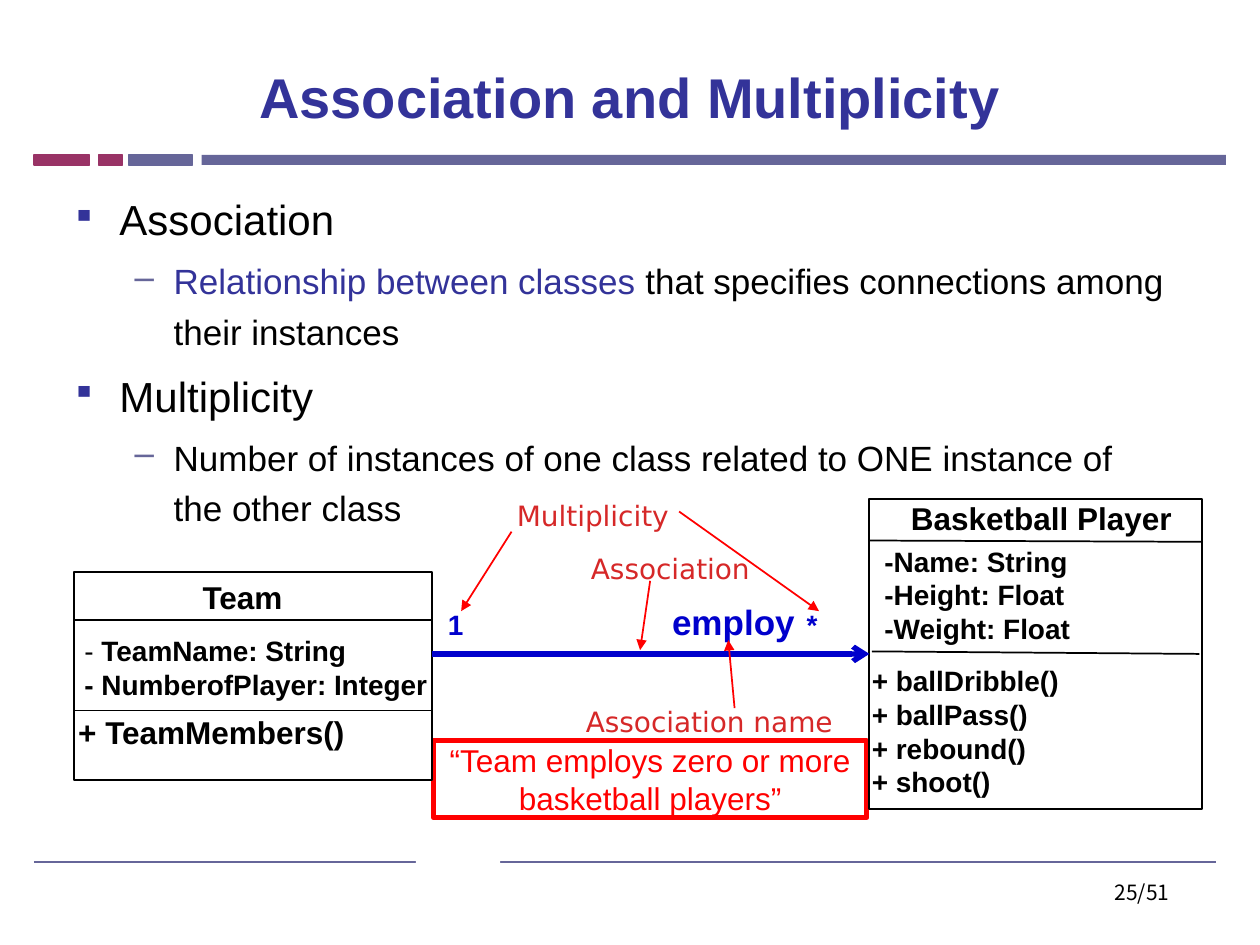
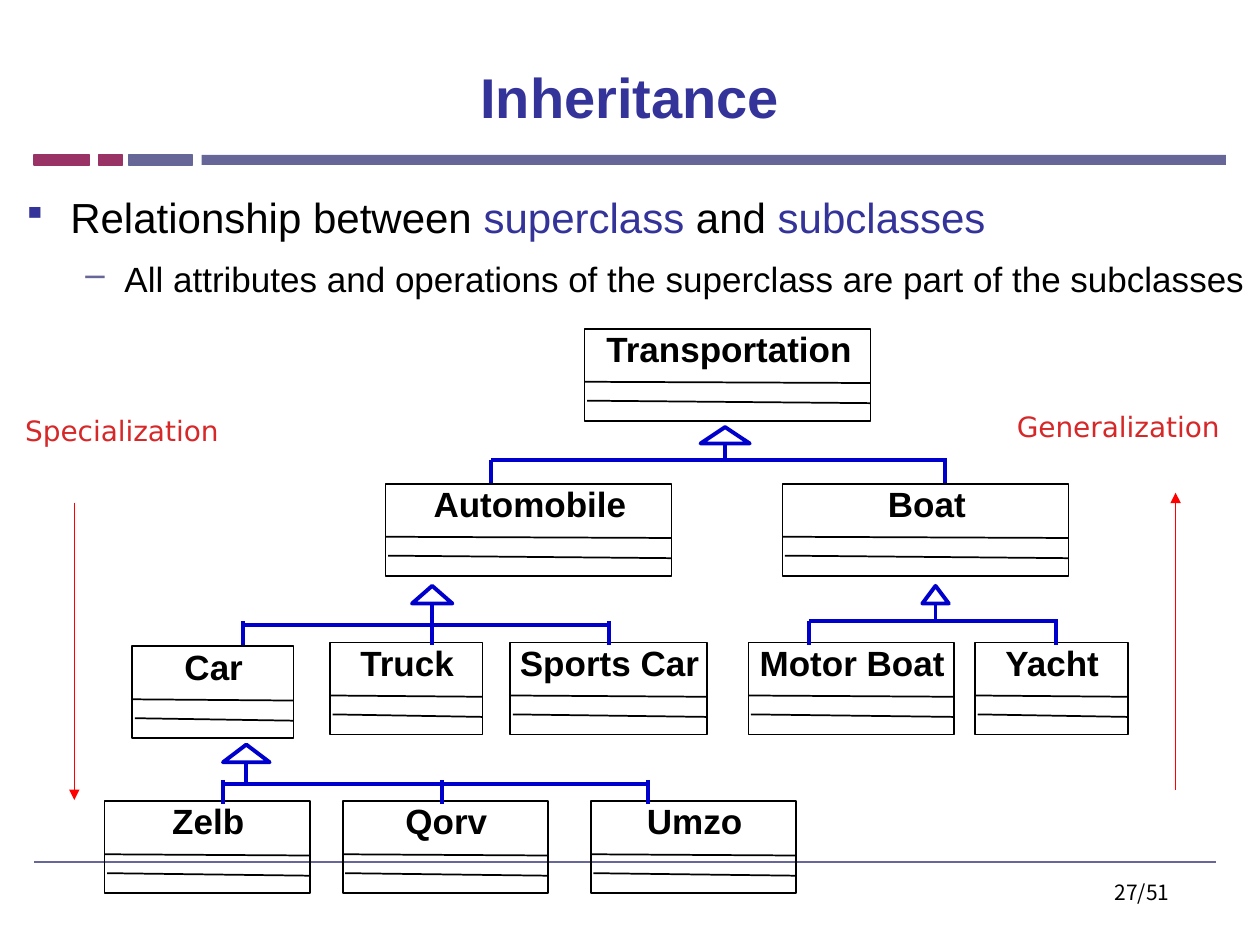
from lxml import etree
from pptx import Presentation
from pptx.dml.color import RGBColor
from pptx.enum import shapes, text
from pptx.oxml import ns
from pptx.util import Inches, Pt

COLORS = {
    "black": "000000",
    "white": "FFFFFF",
    "indigo": "333399",
    "slate": "666699",
    "plum": "993366",
    "blue": "0000CC",
    "red": "FF0000",
    "label": "D62828",
}
BODY_FONT = "Arial"
LABEL_FONT = "DejaVu Sans"
PAGE_FONT = "Noto Sans CJK KR"
NO_INSETS = (0, 0, 0, 0)
FLUSH_INSETS = (0, 0.05, 0.1, 0.05)
BOX_INSETS = (0.1, 0.05, 0.1, 0.05)
LEFT, CENTER, RIGHT = text.PP_ALIGN.LEFT, text.PP_ALIGN.CENTER, text.PP_ALIGN.RIGHT
BULLETS = [("▪", "indigo", 80, 24, 0.38, 0.38), ("–", "slate", 100, 20, 0.81, 0.31)]


def rgb(color):
    return RGBColor.from_string(COLORS[color])


def inches(*lengths):
    return [Inches(length) for length in lengths]


def add_run(paragraph, content, size, color="black", bold=False, font=BODY_FONT):
    for number, line in enumerate(content.split("\n")):
        if number:
            paragraph.add_line_break()
        run = paragraph.add_run()
        run.text = line
        run.font.size = Pt(size)
        run.font.name = font
        run.font.bold = bold
        run.font.color.rgb = rgb(color)


def set_frame(frame, insets):
    frame.word_wrap = True
    frame.margin_left, frame.margin_top, frame.margin_right, frame.margin_bottom = inches(*insets)
    frame.vertical_anchor = text.MSO_ANCHOR.TOP


def add_text(slide, content, box, size, color="black", bold=False, font=BODY_FONT,
             align=LEFT, insets=FLUSH_INSETS):
    frame = slide.shapes.add_textbox(*inches(*box)).text_frame
    set_frame(frame, insets)
    paragraph = frame.paragraphs[0]
    paragraph.alignment = align
    add_run(paragraph, content, size, color, bold, font)
    return paragraph


def add_label(slide, content, box, align=LEFT, insets=NO_INSETS):
    add_text(slide, content, box, 16, "label", font=LABEL_FONT, align=align, insets=insets)


def add_box(slide, box, fill=None, line="black", width=1, kind=shapes.MSO_SHAPE.RECTANGLE):
    shape = slide.shapes.add_shape(kind, *inches(*box))
    shape.shadow.inherit = False
    if fill:
        shape.fill.solid()
        shape.fill.fore_color.rgb = rgb(fill)
    else:
        shape.fill.background()
    if line:
        shape.line.color.rgb = rgb(line)
        shape.line.width = Pt(width)
    else:
        shape.line.fill.background()
    return shape


def add_line(slide, start, end, color="black", width=1, arrow=None):
    connector = slide.shapes.add_connector(
        shapes.MSO_CONNECTOR.STRAIGHT, *inches(*start, *end))
    connector.line.color.rgb = rgb(color)
    connector.line.width = Pt(width)
    if arrow:
        outline = connector._element.spPr.find(ns.qn("a:ln"))
        etree.SubElement(outline, ns.qn("a:tailEnd")).set("type", arrow)
    etree.SubElement(connector._element.spPr, ns.qn("a:effectLst"))
    return connector


def add_bullets(slide, box, items):
    frame = slide.shapes.add_textbox(*inches(*box)).text_frame
    set_frame(frame, BOX_INSETS)
    for number, (level, runs) in enumerate(items):
        symbol, bullet_color, percent, size, margin, hanging = BULLETS[level]
        paragraph = frame.add_paragraph() if number else frame.paragraphs[0]
        paragraph.level = level
        paragraph.line_spacing = 1.2
        if number:
            paragraph.space_before = Pt(size / 5)
        properties = paragraph._p.get_or_add_pPr()
        properties.set("marL", str(Inches(margin)))
        properties.set("indent", str(-Inches(hanging)))
        color_element = etree.SubElement(properties, ns.qn("a:buClr"))
        etree.SubElement(color_element, ns.qn("a:srgbClr")).set("val", COLORS[bullet_color])
        etree.SubElement(properties, ns.qn("a:buSzPct")).set("val", str(percent * 1000))
        etree.SubElement(properties, ns.qn("a:buChar")).set("char", symbol)
        for content, color in runs:
            add_run(paragraph, content, size, color)


def add_slide(presentation, title, page):
    slide = presentation.slides.add_slide(presentation.slide_layouts[5])
    placeholder = slide.shapes.title
    placeholder.left, placeholder.top, placeholder.width, placeholder.height = inches(
        0.5, 0.3, 9, 0.93)
    frame = placeholder.text_frame
    set_frame(frame, BOX_INSETS)
    frame.vertical_anchor = text.MSO_ANCHOR.MIDDLE
    frame.paragraphs[0].alignment = CENTER
    add_run(frame.paragraphs[0], title, 32, "indigo", True)
    for left, width, color, outline in [
        (1.6, 8.13, "slate", None),
        (0.27, 0.44, "plum", "plum"),
        (1.02, 0.51, "slate", "slate"),
        (0.78, 0.19, "plum", "plum"),
    ]:
        add_box(slide, (left, 1.23, width, 0.08), color, outline, 0.75)
    add_line(slide, (0.27, 6.84), (9.65, 6.84), "slate")
    add_text(slide, page, (7.05, 6.93, 2.33, 0.52), 12, font=PAGE_FONT,
             align=RIGHT, insets=BOX_INSETS)
    return slide


def add_empty_class(slide, name, left, top, width):
    right = left + width
    add_box(slide, (left, top, width, 0.73))
    add_line(slide, (left, top + 0.42), (right, top + 0.43))
    add_line(slide, (left + 0.02, top + 0.57), (right, top + 0.59))
    add_text(slide, name, (left - 0.05 * width, top - 0.06, 1.11 * width, 0.43), 20,
             bold=True, align=CENTER, insets=BOX_INSETS)


def add_inheritance(slide, triangle, bus, drops, bottom, overshoot=0):
    left, top, width, height = triangle
    center = left + width / 2
    add_box(slide, triangle, line="blue", width=2.25,
            kind=shapes.MSO_SHAPE.ISOSCELES_TRIANGLE)
    segments = [((center, top + height), (center, bus)), ((drops[0], bus), (drops[-1] + 0.02, bus))]
    segments += [((drop, bus - overshoot), (drop, bottom)) for drop in drops]
    for start, end in segments:
        add_line(slide, start, end, "blue", 2.25)


def add_team_class(slide):
    add_box(slide, (0.59, 4.54, 2.84, 1.65))
    for y in (4.92, 5.64):
        add_line(slide, (0.59, y), (3.43, y))
    add_text(slide, "Team", (0.43, 4.54, 2.99, 0.4), 18, bold=True,
             align=CENTER, insets=BOX_INSETS)
    attributes = add_text(slide, "- ", (0.67, 4.98, 2.99, 0.5), 16)
    add_run(attributes, "TeamName: String\n- NumberofPlayer: Integer", 16, bold=True)
    add_text(slide, "+ TeamMembers()", (0.62, 5.61, 2.58, 0.57), 18, bold=True)


def add_player_class(slide):
    outline = add_box(slide, (6.9, 3.96, 2.64, 2.46))
    add_line(slide, (6.9, 4.29), (9.53, 4.3))
    add_line(slide, (6.92, 5.17), (9.52, 5.19))
    add_text(slide, "Basketball Player", (6.81, 3.91, 2.91, 0.4), 18, bold=True,
             align=CENTER, insets=BOX_INSETS)
    add_text(slide, "-Name: String\n-Height: Float\n-Weight: Float",
             (7.02, 4.27, 2.4, 0.34), 16, bold=True)
    add_text(slide, "+ ballDribble()\n+ ballPass()\n+ rebound()\n+ shoot()",
             (6.92, 5.22, 2.4, 0.34), 16, bold=True)
    return outline


def build_association(presentation):
    slide = add_slide(presentation, "Association and Multiplicity", "25/51")
    add_bullets(slide, (0.47, 1.41, 8.9, 5.31), [
        (0, [("Association", "black")]),
        (1, [("Relationship between classes", "indigo"),
             (" that specifies connections among their instances", "black")]),
        (0, [("Multiplicity", "black")]),
        (1, [("Number of instances of one class related to ONE instance of the other class",
              "black")]),
    ])
    add_box(slide, (3.3, 6.64, 0.67, 0.25), "white", None)
    summary = add_box(slide, (3.44, 5.88, 3.44, 0.61), "white", "red", 3)
    set_frame(summary.text_frame, NO_INSETS)
    summary.text_frame.paragraphs[0].alignment = CENTER
    add_run(summary.text_frame.paragraphs[0],
            "“Team employs zero or more basketball players”", 18, "red")

    player = add_player_class(slide)
    add_team_class(slide)
    for content, left, top, width, size in [
        ("1", 3.43, 4.77, 0.47, 16),
        ("*", 6.26, 4.77, 0.47, 16),
        ("employ", 5.16, 4.72, 1.42, 20),
    ]:
        add_text(slide, content, (left, top, width, 0.4), size, "blue", True, align=CENTER)
    association = add_line(slide, (3.43, 5.19), (6.9, 5.19), "blue", 3, "arrow")
    association.end_connect(player, 1)

    add_label(slide, "Multiplicity", (3.65, 3.91, 2.21, 0.37), CENTER, FLUSH_INSETS)
    add_label(slide, "Association", (4.69, 4.38, 2.7, 0.27))
    add_label(slide, "Association name", (4.65, 5.59, 2.7, 0.27))
    for start, end in [
        ((4.06, 4.22), (3.66, 4.85)),
        ((5.39, 4.06), (6.5, 4.85)),
        ((5.16, 4.61), (5.08, 5.16)),
        ((5.83, 5.62), (5.78, 5.08)),
    ]:
        add_line(slide, start, end, "red", 1, "triangle")


def build_inheritance(presentation):
    slide = add_slide(presentation, "Inheritance", "27/51")
    add_bullets(slide, (0.08, 1.39, 10.43, 2.05), [
        (0, [("Relationship between ", "black"), ("superclass ", "indigo"),
             ("and ", "black"), ("subclasses", "indigo")]),
        (1, [("All attributes and operations of the superclass are part of the subclasses",
              "black")]),
    ])
    for name, left, top, width in [
        ("Transportation", 4.64, 2.61, 2.27),
        ("Automobile", 3.06, 3.84, 2.27),
        ("Boat", 6.21, 3.84, 2.27),
        ("Car", 1.05, 5.13, 1.28),
        ("Truck", 2.62, 5.1, 1.21),
        ("Sports Car", 4.05, 5.1, 1.56),
        ("Motor Boat", 5.94, 5.1, 1.63),
        ("Yacht", 7.74, 5.1, 1.21),
        ("Zelb", 0.83, 6.36, 1.63),
        ("Qorv", 2.72, 6.36, 1.63),
        ("Umzo", 4.69, 6.36, 1.63),
    ]:
        add_empty_class(slide, name, left, top, width)
    add_inheritance(slide, (5.56, 3.39, 0.39, 0.13), 3.65, (3.9, 7.5), 3.83)
    add_inheritance(slide, (3.27, 4.65, 0.32, 0.14), 4.96, (1.93, 3.43, 4.83), 5.12, 0.03)
    add_inheritance(slide, (7.32, 4.65, 0.21, 0.14), 4.93, (6.42, 8.38), 5.12)
    add_inheritance(slide, (1.77, 5.91, 0.37, 0.14), 6.22, (1.77, 3.51, 5.14), 6.38, 0.03)

    add_label(slide, "Specialization", (0.2, 3.28, 1.64, 0.27))
    add_line(slide, (0.59, 3.99), (0.59, 6.35), "red", 0.75, "triangle")
    add_label(slide, "Generalization", (8.07, 3.25, 1.64, 0.27))
    add_line(slide, (9.33, 6.27), (9.33, 3.91), "red", 0.75, "triangle")


def main():
    presentation = Presentation()
    presentation.slide_width, presentation.slide_height = inches(10, 7.5)
    build_association(presentation)
    build_inheritance(presentation)
    presentation.save("out.pptx")


if __name__ == "__main__":
    main()
